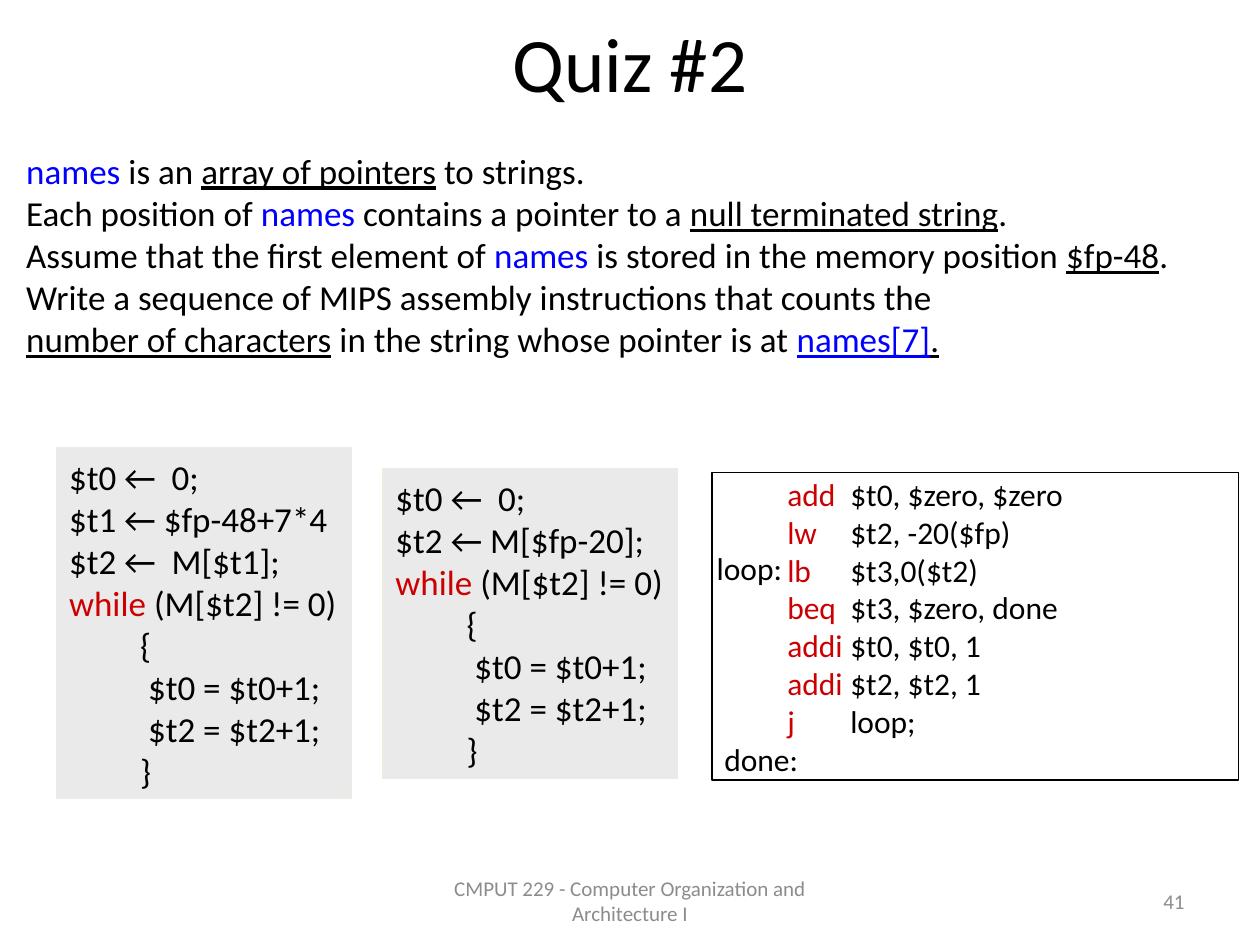
from dataclasses import dataclass
from lxml.etree import SubElement
from pptx import Presentation
from pptx.dml.color import RGBColor as RGB
from pptx.enum.shapes import MSO_SHAPE as SHAPE
from pptx.enum.text import MSO_ANCHOR as ANCHOR, PP_ALIGN as ALIGN
from pptx.oxml.ns import qn
from pptx.util import Pt


@dataclass(frozen=True)
class Theme:
    font: str = "Calibri"
    title: int = 44
    body: int = 20
    code: int = 18
    footer: int = 12
    text: str = "000000"
    muted: str = "8C8C8C"
    name: str = "0000FF"
    keyword: str = "CC0000"
    panel: str = "EAEAEA"
    panel_line: str = "EEECE1"
    paper: str = "FFFFFF"


T = Theme()
TITLE = "Quiz #2"
FOOTER = "CMPUT 229 - Computer Organization and Architecture I"
PAGE = "41"

NAMES = ("names", "name")
INTRO = [
    [NAMES, " is an ", ("array of pointers", "under"), " to strings."],
    ["Each position of ", NAMES, " contains a pointer to a ",
     ("null terminated string", "under"), "."],
    ["Assume that the first element of ", NAMES,
     " is stored in the memory position ", ("$fp-48", "under"), "."],
    ["Write a sequence of MIPS assembly instructions that counts the"],
    [("number of characters", "under"), " in the string whose pointer is at ",
     ("names[7]", "name under"), (".", "under")],
]

LOOP = [
    [("while ", "keyword"), "(M[$t2] != 0)"],
    ["         {"],
    ["          $t0 = $t0+1;"],
    ["          $t2 = $t2+1;"],
    ["         }"],
]
PSEUDOCODE = [
    ((32.4, 255.6, 168.5, 200.9),
     [["$t0 ←  0;"], ["$t1 ← $fp-48+7*4"], ["$t2 ←  M[$t1];"]] + LOOP),
    ((218.9, 267.8, 168.5, 177.1),
     [["$t0 ←  0;"], ["$t2 ← M[$fp-20];"]] + LOOP),
]

INSTRUCTIONS = [
    ("add", "$t0, $zero, $zero"),
    ("lw", "$t2, -20($fp)"),
    ("lb", "$t3,0($t2)"),
    ("beq", "$t3, $zero, done"),
    ("addi", "$t0, $t0, 1"),
    ("addi", "$t2, $t2, 1"),
    ("j", "loop;"),
]
ASSEMBLY = [["\t", (op, "keyword"), "\t" + args] for op, args in INSTRUCTIONS] + [["done:"]]
TAB_STOPS = (36, 72)


def write(sp, lines, size, color=T.text, align=ALIGN.LEFT, right=0, tabs=()):
    tf = sp.text_frame
    tf.word_wrap = True
    tf.vertical_anchor = ANCHOR.MIDDLE
    tf.margin_left, tf.margin_right = Pt(7.2), Pt(right)
    tf.margin_top = tf.margin_bottom = 0
    for i, line in enumerate(lines):
        p = tf.add_paragraph() if i else tf.paragraphs[0]
        p.alignment = align
        if tabs:
            stops = SubElement(p._p.get_or_add_pPr(), qn("a:tabLst"))
            for stop in tabs:
                SubElement(stops, qn("a:tab"), pos=str(Pt(stop)), algn="l")
        p.font.name, p.font.size = T.font, Pt(size)
        p.font.color.rgb = RGB.from_string(color)
        for part in line:
            text, style = (part, "") if isinstance(part, str) else part
            r = p.add_run()
            r.text = text
            for key in style.split():
                if key == "under":
                    r.font.underline = True
                else:
                    r.font.color.rgb = RGB.from_string(getattr(T, key))


def add_text(slide, box, *args, **kw):
    write(slide.shapes.add_textbox(*map(Pt, box)), *args, **kw)


def add_panel(slide, box, fill, line, *args, **kw):
    sp = slide.shapes.add_shape(SHAPE.RECTANGLE, *map(Pt, box))
    sp.shadow.inherit = False
    sp.fill.solid()
    sp.fill.fore_color.rgb = RGB.from_string(fill)
    sp.line.color.rgb = RGB.from_string(line)
    sp.line.width = Pt(0.75)
    write(sp, *args, **kw)


def main():
    prs = Presentation()
    prs.slide_width, prs.slide_height = Pt(720), Pt(540)
    slide = prs.slides.add_slide(prs.slide_layouts[5])

    title = slide.shapes.title
    title.left, title.top, title.width, title.height = map(Pt, (36, -10, 648, 90))
    write(title, [[TITLE]], T.title, align=ALIGN.CENTER, right=7.2)

    add_text(slide, (7.9, 81.4, 672.5, 128.2), INTRO, T.body)
    for box, lines in PSEUDOCODE:
        add_panel(slide, box, T.panel, T.panel_line, lines, T.body)
    add_panel(slide, (406.8, 270, 301, 175.7), T.paper, T.text, ASSEMBLY, T.code,
              tabs=TAB_STOPS)
    add_text(slide, (402.5, 310, 53.3, 28.8), [["loop:"]], T.code)

    add_text(slide, (246, 500.4, 228, 28.8), [[FOOTER]], T.footer, T.muted,
             ALIGN.CENTER, 7.2)
    add_text(slide, (516, 500.4, 168, 28.8), [[PAGE]], T.footer, T.muted,
             ALIGN.RIGHT, 7.2)
    prs.save("out.pptx")


if __name__ == "__main__":
    main()
